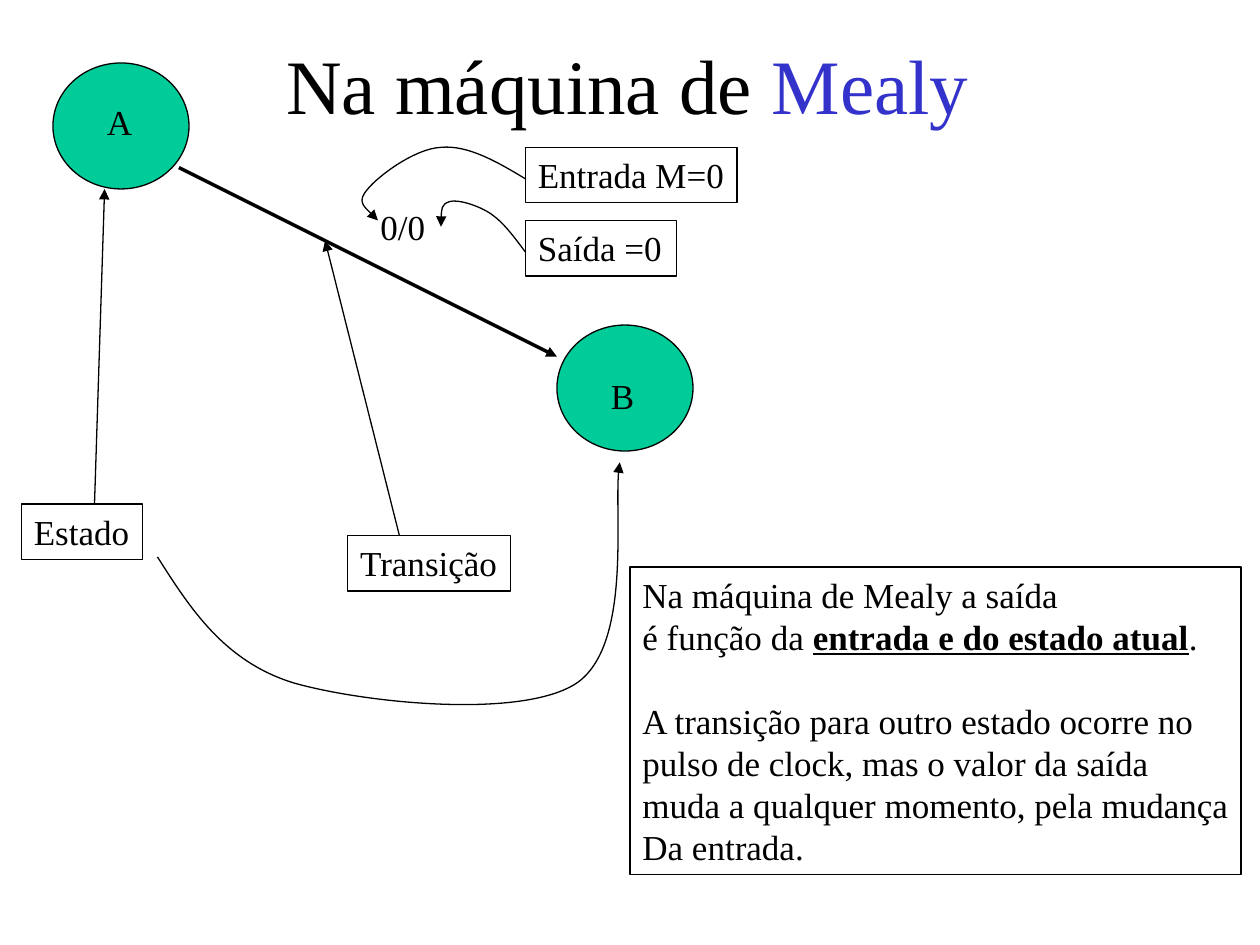
from lxml.etree import SubElement
from pptx import Presentation
from pptx.dml.color import RGBColor
from pptx.enum.shapes import MSO_CONNECTOR, MSO_SHAPE
from pptx.enum.text import MSO_ANCHOR, MSO_AUTO_SIZE, PP_ALIGN
from pptx.oxml.ns import qn
from pptx.util import Inches, Pt

FONT = "Times New Roman"
BLACK, BLUE, GREEN = "000000", "3333CC", "00CC99"

TITLE = [[("Na máquina de ", BLACK, False), ("Mealy", BLUE, False)]]
TITLE_BOX = (2.17, 0.25, 5.62, 0.84)
STATE_SIZE = (1.08, 1)
STATES = [(0.42, 0.5), (4.42, 2.58)]
LABELS = [
    ("A", (0.75, 0.75, 0.4, 0.44)),
    ("B", (4.75, 2.92, 0.38, 0.44)),
    ("0/0", (2.92, 1.58, 0.58, 0.44)),
]
BOXES = [
    ("Estado", (0.17, 4, 0.96, 0.44)),
    ("Transição", (2.76, 4.25, 1.29, 0.44)),
    ("Entrada M=0", (4.17, 1.17, 1.68, 0.44)),
    ("Saída =0", (4.17, 1.75, 1.2, 0.44)),
]
ARROWS = [
    ((1.42, 1.33), (4.42, 2.83), 2),
    ((0.75, 4), (0.83, 1.5), 0.75),
    ((3.17, 4.25), (2.58, 1.91), 0.75),
]
CURVES = [
    [(1.25, 4.42), (1.51, 4.83), (1.78, 5.25), (2.33, 5.42), (2.89, 5.58),
     (4.15, 5.71), (4.58, 5.42), (5.01, 5.12), (4.86, 3.96), (4.92, 3.67)],
    [(4.17, 1.42), (3.94, 1.28), (3.71, 1.15), (3.5, 1.17), (3.29, 1.18),
     (3, 1.4), (2.92, 1.5), (2.83, 1.6), (2.92, 1.67), (3, 1.75)],
    [(4.17, 2), (4.08, 1.88), (4, 1.77), (3.9, 1.7), (3.8, 1.63),
     (3.63, 1.58), (3.57, 1.6), (3.5, 1.62), (3.5, 1.71), (3.5, 1.8)],
]
NOTE_BOX = (5, 4.5, 4.85, 2.44)
NOTE = [
    [("Na máquina de Mealy a saída", BLACK, False)],
    [("é função da ", BLACK, False), ("entrada e do estado atual", BLACK, True),
     (".", BLACK, False)],
    [("A transição para outro estado ocorre no", BLACK, False)],
    [("pulso de clock, mas o valor da saída", BLACK, False)],
    [("muda a qualquer momento, pela mudança", BLACK, False)],
    [("Da entrada.", BLACK, False)],
]
NOTE_BREAK = 2


def rgb(color):
    return RGBColor.from_string(color)


def inches(values):
    return [Inches(v) for v in values]


def set_line(s, width=0.75):
    s.line.color.rgb = rgb(BLACK)
    s.line.width = Pt(width)


def add_head(s):
    SubElement(s.line._get_or_add_ln(), qn("a:tailEnd"), type="triangle")


def write(s, paragraphs, size=20, align=PP_ALIGN.LEFT):
    tf = s.text_frame
    tf.word_wrap = False
    tf.auto_size = MSO_AUTO_SIZE.SHAPE_TO_FIT_TEXT
    tf.vertical_anchor = MSO_ANCHOR.TOP
    for i, runs in enumerate(paragraphs):
        p = tf.add_paragraph() if i else tf.paragraphs[0]
        p.alignment = align
        for text, color, strong in runs:
            r = p.add_run()
            r.text = text
            r.font.name = FONT
            r.font.size = Pt(size)
            r.font.color.rgb = rgb(color)
            r.font.bold = r.font.underline = strong
    return tf


def add_plain(shapes, kind, box, fill=None):
    s = shapes.add_shape(kind, *inches(box))
    s.shadow.inherit = False
    if fill:
        s.fill.solid()
        s.fill.fore_color.rgb = rgb(fill)
    else:
        s.fill.background()
    set_line(s)
    return s


def add_arrow(shapes, start, end, width):
    s = shapes.add_connector(MSO_CONNECTOR.STRAIGHT, *inches(start + end))
    set_line(s, width)
    add_head(s)
    SubElement(s._element.spPr, qn("a:effectLst"))


def add_curve(shapes, points):
    start, *rest = [inches(pt) for pt in points]
    builder = shapes.build_freeform(*start)
    builder.add_line_segments(rest, close=False)
    s = builder.convert_to_shape()
    s.shadow.inherit = False
    s.fill.background()
    set_line(s)
    add_head(s)
    outline = next(s._element.iter(qn("a:path")))
    segments = outline.findall(qn("a:lnTo"))
    for i in range(0, len(segments), 3):
        bezier = SubElement(outline, qn("a:cubicBezTo"))
        for segment in segments[i:i + 3]:
            bezier.append(segment[0])
            outline.remove(segment)


def main():
    prs = Presentation()
    prs.slide_width, prs.slide_height = inches((10, 7.5))
    slide = prs.slides.add_slide(prs.slide_layouts[5])
    shapes = slide.shapes

    title = shapes.title
    title.left, title.top, title.width, title.height = inches(TITLE_BOX)
    write(title, TITLE, size=44)

    for corner in STATES:
        add_plain(shapes, MSO_SHAPE.OVAL, corner + STATE_SIZE, GREEN)
    for arrow in ARROWS:
        add_arrow(shapes, *arrow)
    for points in CURVES:
        add_curve(shapes, points)
    for text, box in LABELS:
        write(shapes.add_textbox(*inches(box)), [[(text, BLACK, False)]])
    for text, box in BOXES:
        write(add_plain(shapes, MSO_SHAPE.RECTANGLE, box), [[(text, BLACK, False)]])

    note = add_plain(shapes, MSO_SHAPE.RECTANGLE, NOTE_BOX)
    tf = write(note, NOTE, align=PP_ALIGN.JUSTIFY)
    tf.paragraphs[NOTE_BREAK].space_before = Pt(24)

    prs.save("out.pptx")


if __name__ == "__main__":
    main()
